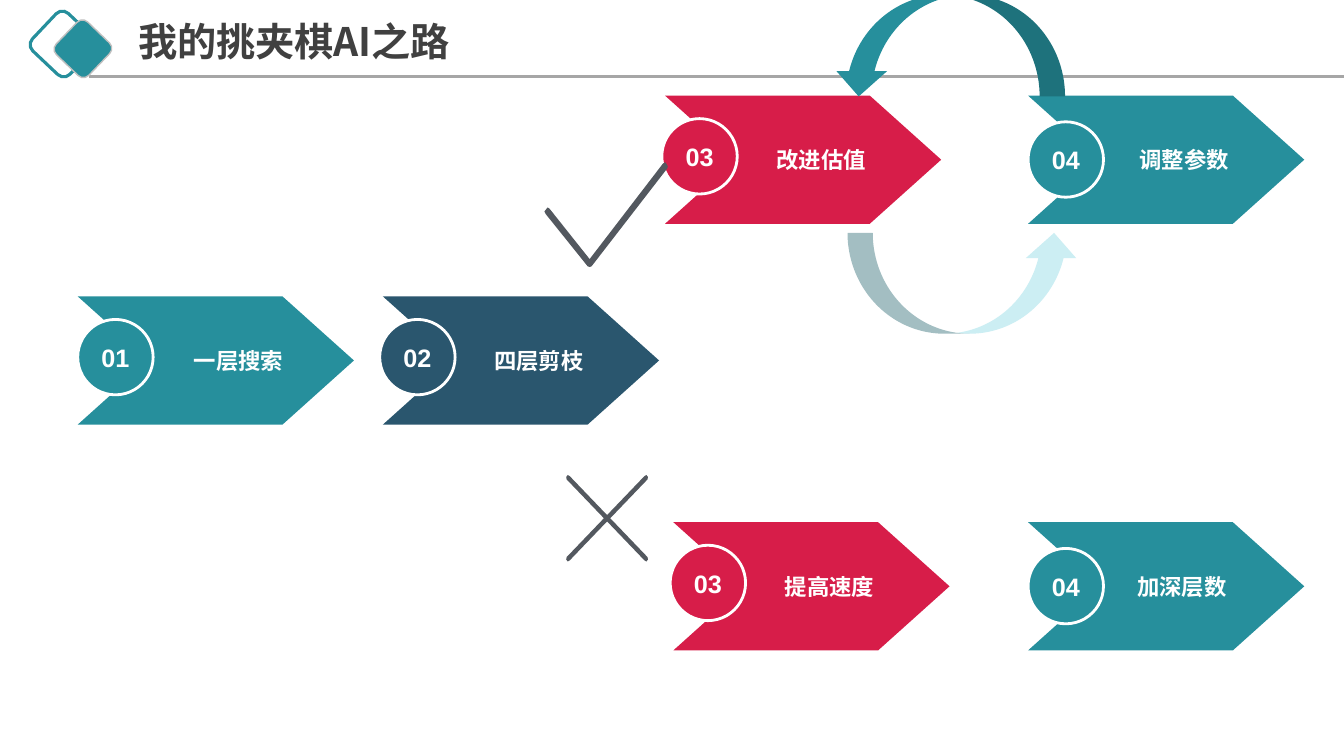
from lxml import etree
from pptx import Presentation
from pptx.dml.color import RGBColor
from pptx.enum.shapes import MSO_CONNECTOR, MSO_SHAPE
from pptx.enum.text import MSO_ANCHOR, PP_ALIGN
from pptx.oxml.ns import qn
from pptx.util import Cm, Pt

STRAIGHT = MSO_CONNECTOR.STRAIGHT
DIAMOND, CIRCLE = MSO_SHAPE.ROUNDED_RECTANGLE, MSO_SHAPE.OVAL
LOOP_ARROW = MSO_SHAPE.CURVED_UP_ARROW
TOP, MIDDLE = MSO_ANCHOR.TOP, MSO_ANCHOR.MIDDLE
LEFT, CENTER = PP_ALIGN.LEFT, PP_ALIGN.CENTER

TEAL, NAVY, RED, PALE = "268F9C", "2A566E", "D71D49", "CCEEF3"
WHITE, SILVER, GRAY, SLATE, INK = "FFFFFF", "BFBFBF", "A6A6A6", "53585F", "404040"

STEP_W, STEP_H, TIP = 6.96, 3.23, 1.8
BADGE = 1.9


def rgb(value):
    return RGBColor.from_string(value)


def paint(shape, fill=None, line=None, width=1):
    shape.shadow.inherit = False
    if fill:
        shape.fill.solid()
        shape.fill.fore_color.rgb = rgb(fill)
    else:
        shape.fill.background()
    if line:
        shape.line.color.rgb = rgb(line)
        shape.line.width = Pt(width)
    else:
        shape.line.fill.background()


def write(shape, text, size=16, color=WHITE, font="Arial", align=CENTER,
          anchor=MIDDLE, insets=(0, 0, 0, 0), wrap=True, spacing=None):
    frame = shape.text_frame
    frame.word_wrap = wrap
    frame.vertical_anchor = anchor
    (frame.margin_left, frame.margin_top,
     frame.margin_right, frame.margin_bottom) = map(Cm, insets)
    paragraph = frame.paragraphs[0]
    paragraph.alignment = align
    if spacing:
        paragraph.line_spacing = spacing
    run = paragraph.add_run()
    run.text = text
    run.font.size, run.font.bold, run.font.name = Pt(size), True, font
    run.font.color.rgb = rgb(color)
    east_asian = etree.Element(qn("a:ea"), typeface="Noto Sans CJK SC")
    run.font._element.find(qn("a:latin")).addnext(east_asian)


def add_preset(shapes, kind, x, y, w, h, rotation=0, **look):
    shape = shapes.add_shape(kind, Cm(x), Cm(y), Cm(w), Cm(h))
    shape.rotation = rotation
    paint(shape, **look)
    return shape


def add_outline(shapes, x, y, points, fill):
    corners = [(Cm(x + dx), Cm(y + dy)) for dx, dy in points]
    builder = shapes.build_freeform(*corners[0], scale=1.0)
    builder.add_line_segments(corners[1:], close=True)
    shape = builder.convert_to_shape()
    paint(shape, fill)
    return shape


def add_header(slide, x, y, w, text):
    # Overlapping diamonds and rule
    add_preset(slide.shapes, DIAMOND, x, y, 1.3, 1.3, 43.4, line=TEAL, width=2.25)
    rule = slide.shapes.add_connector(
        STRAIGHT, Cm(x + 1.3), Cm(y + 1.47), Cm(x + w), Cm(y + 1.47))
    rule.line.color.rgb = rgb(GRAY)
    rule.line.width = Pt(2.25)
    etree.SubElement(rule._element.spPr, qn("a:effectLst"))
    add_preset(slide.shapes, DIAMOND, x + 0.58, y + 0.2, 1.14, 1.14, 43.9,
               fill=TEAL, line=SILVER)
    # Title
    title = slide.shapes.title
    title.left, title.top = Cm(x + 2.29), Cm(y - 0.03)
    title.width, title.height = Cm(14.5), Cm(1.5)
    write(title, text, size=28, color=INK, font="Noto Sans CJK SC", align=LEFT,
          anchor=TOP, insets=(0.25, 0.13, 0.25, 0.13), spacing=0.9)


def add_step(slide, x, y, number, label, color, badge_dx, badge_dy, label_shift):
    shapes = slide.shapes.add_group_shape().shapes
    body = STEP_W - TIP
    arrow = add_outline(shapes, x, y, [
        (0, 0), (body, 0), (STEP_W, STEP_H / 2), (body, STEP_H),
        (0, STEP_H), (TIP, STEP_H / 2)], color)
    write(arrow, label, insets=(1.5 + label_shift, 0, 0.71, 0))
    badge = add_preset(shapes, CIRCLE, x + badge_dx, y + badge_dy, BADGE, BADGE,
                       fill=color, line=WHITE, width=2)
    write(badge, number, size=18, wrap=False)


def add_loop(slide, x, y):
    add_preset(slide.shapes, LOOP_ARROW, x, y, 5.84, 2.56, 180, fill=TEAL)
    add_preset(slide.shapes, LOOP_ARROW, x + 0.36, y + 6, 5.84, 2.54, fill=PALE)


def add_cross(slide, center_x, center_y):
    # One arm, mirrored clockwise into the four quadrants
    arm = [(0, -0.08), (0.94, -1.06), (0.99, -1.09),
           (1.03, -1.04), (1.02, -0.98), (0.08, 0)]
    points = []
    for sx, sy, order in ((1, 1, 1), (1, -1, -1), (-1, -1, 1), (-1, 1, -1)):
        points += [(sx * dx, sy * dy) for dx, dy in arm[::order]]
    add_outline(slide.shapes, center_x, center_y, points, SLATE)


def add_check(slide, x, y):
    add_outline(slide.shapes, x, y, [
        (3.11, 0.1), (3.05, 0), (2.99, 0.03), (1.14, 2.44), (0.13, 1.17),
        (0.08, 1.14), (0, 1.24), (0.03, 1.3), (1.09, 2.62), (1.14, 2.64),
        (1.19, 2.62), (3.1, 0.15)], SLATE)


def main():
    deck = Presentation()
    deck.slide_width, deck.slide_height = Cm(33.87), Cm(19.05)
    slide = deck.slides.add_slide(deck.slide_layouts[5])

    add_header(slide, 0.94, 0.46, 32.93, "我的挑夹棋AI之路")

    # Steps: left, top, number, label, colour, badge offsets, label shift
    for step in (
        (1.96, 7.47, "01", "一层搜索", TEAL, 0, 0.58, 0.36),
        (9.65, 7.47, "02", "四层剪枝", NAVY, -0.08, 0.58, 0.12),
        (16.76, 2.41, "03", "改进估值", RED, -0.08, 0.58, 0.12),
        (25.91, 2.41, "04", "调整参数", TEAL, 0, 0.66, 0.12),
        (16.97, 13.16, "03", "提高速度", RED, -0.08, 0.58, 0.12),
        (25.91, 13.16, "04", "加深层数", TEAL, 0, 0.66, 0),
    ):
        add_step(slide, *step)

    # Feedback loop and verdict marks
    add_loop(slide, 21, -0.13)
    add_cross(slide, 15.3, 13.06)
    add_check(slide, 13.72, 4.09)

    deck.save("out.pptx")


if __name__ == "__main__":
    main()
